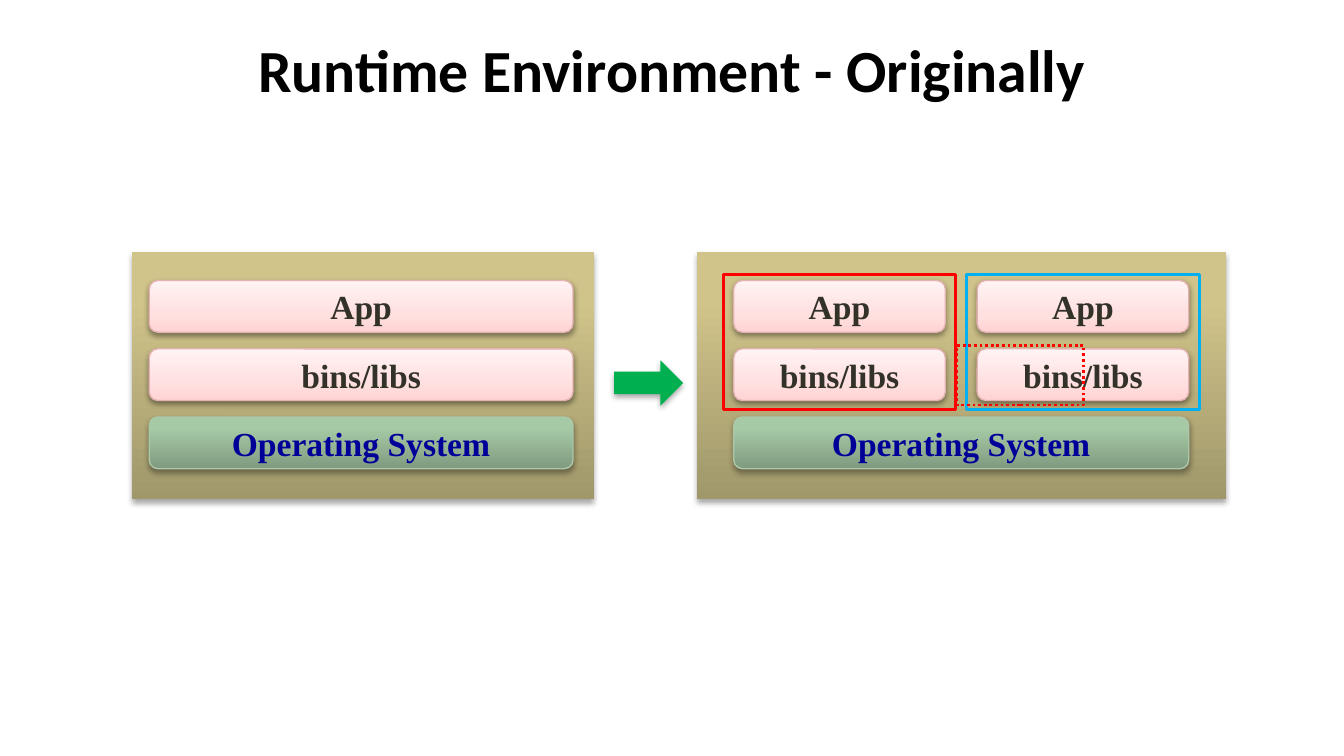
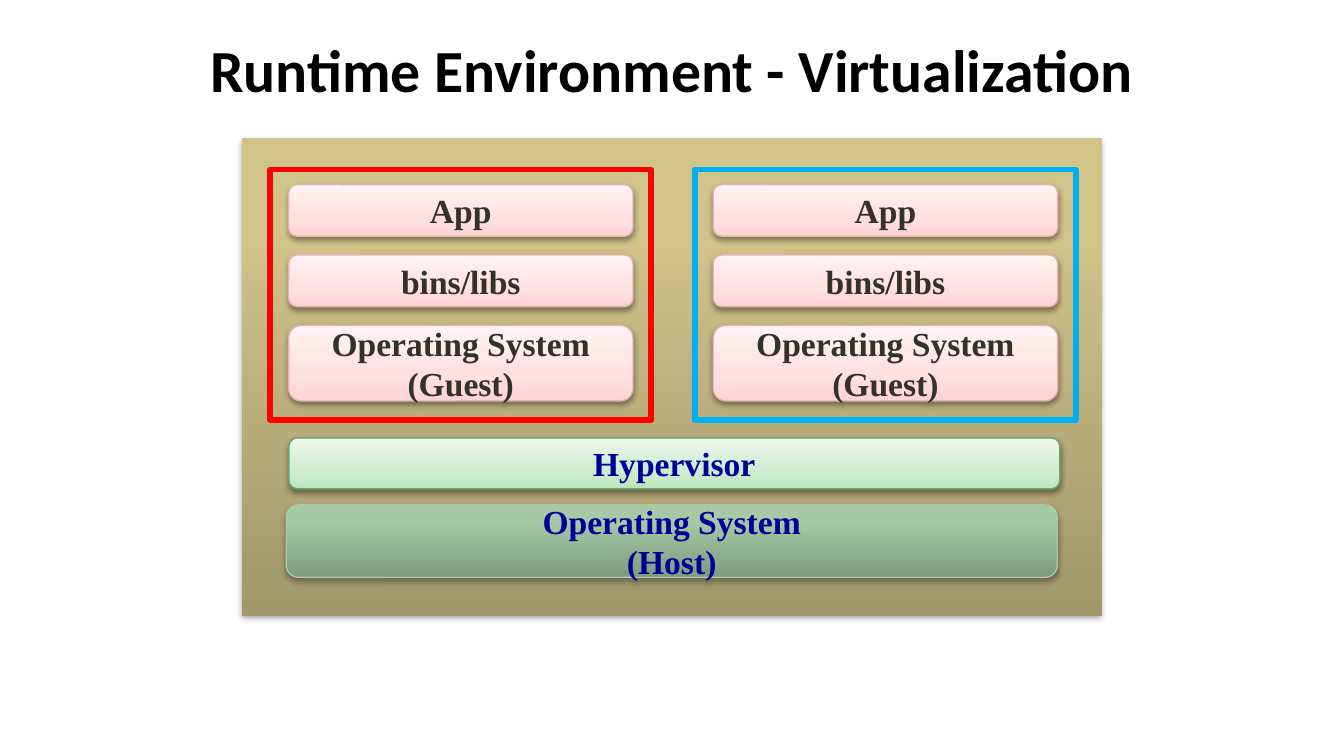
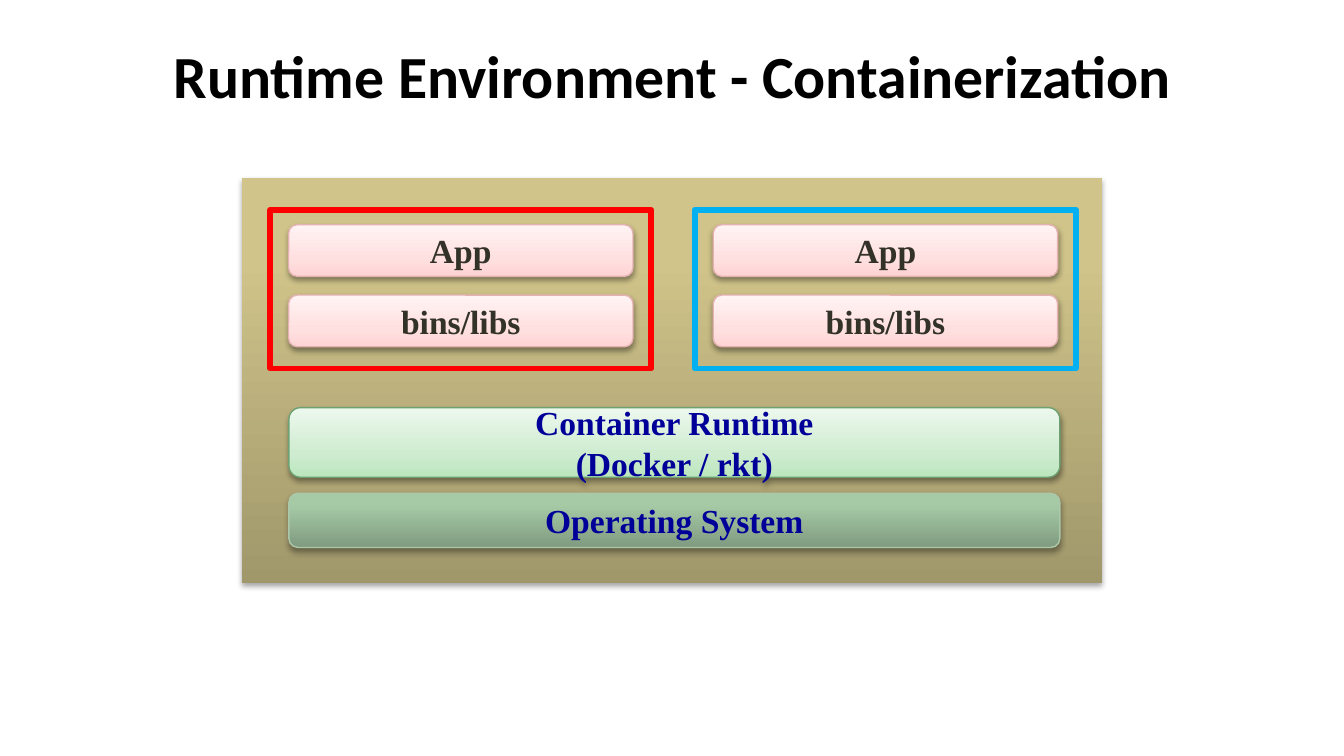
from copy import deepcopy
from typing import NamedTuple, Optional

from lxml import etree
from pptx import Presentation
from pptx import util as u
from pptx.dml.color import RGBColor
from pptx.enum import dml, shapes, text
from pptx.oxml.ns import qn

Pt = u.Pt
KIND = shapes.MSO_SHAPE


class Box(NamedTuple):
    x: float
    y: float
    w: float
    h: float


class Shade(NamedTuple):
    alpha: int
    dist: float


class Look(NamedTuple):
    stops: tuple
    shade: Shade
    line: Optional[str] = None
    ink: str = "000099"


# Shared looks: gradient stops run from bottom to top
SOFT, DEEP = Shade(38, 1.6), Shade(35, 1.8)
PANEL = Look(((0, "A0976B"), (0.8, "D0C48A"), (1, "D2C68A")), DEEP)
HOST = Look(((0, "809B80"), (0.8, "A6CAA6"), (1, "A7CBA7")), DEEP, "ABC8AB")
LAYER = Look(((0, "BBE6BD"), (0.35, "CFECD1"), (1, "ECF8ED")), SOFT, "6EA172")
GUEST = Look(((0, "FFD4D4"), (0.35, "FFE0E0"), (1, "FFF3F3")), SOFT,
             "E4B2B2", "333228")
RED, BLUE, GREEN, BLACK = "FF0000", "00B0F0", "00B050", "000000"

TITLE = {"name": "Calibri", "size": Pt(32), "bold": True}
LABEL = {"name": "Times New Roman", "size": Pt(18), "bold": True}
FRAME = {"word_wrap": True, "vertical_anchor": text.MSO_ANCHOR.MIDDLE,
         "auto_size": text.MSO_AUTO_SIZE.NONE, "margin_left": 0,
         "margin_right": 0, "margin_top": 0, "margin_bottom": 0}


def color(code: str) -> RGBColor:
    return RGBColor.from_string(code)


def apply(part, style: dict) -> None:
    for key, value in style.items():
        setattr(part, key, value)


def write(shape, words: str, style: dict, ink: str) -> None:
    frame = shape.text_frame
    frame.text = words
    apply(frame, FRAME)
    for para in frame.paragraphs:
        para.alignment = text.PP_ALIGN.CENTER
        apply(para.font, style)
        para.font.color.rgb = color(ink)


def place(slide, kind, box: Box):
    shape = slide.shapes.add_shape(kind, *map(Pt, box))
    shape.shadow.inherit = False
    return shape


def cast(shape, shade: Shade) -> None:
    """Add a soft shadow that falls straight down."""
    effect = shape.element.spPr.find(qn("a:effectLst"))
    outer = etree.SubElement(effect, qn("a:outerShdw"), {
        "blurRad": str(Pt(3.1)), "dist": str(Pt(shade.dist)),
        "dir": "5400000", "rotWithShape": "0"})
    tint = etree.SubElement(outer, qn("a:srgbClr"), val=BLACK)
    etree.SubElement(tint, qn("a:alpha"), val=str(shade.alpha * 1000))


def block(slide, box: Box, look: Look, words: str = "") -> None:
    """Draw a shaded panel, or a labelled bar if there are words."""
    kind = KIND.ROUNDED_RECTANGLE if words else KIND.RECTANGLE
    shape = place(slide, kind, box)
    fill = shape.fill
    fill.gradient()
    fill.gradient_angle = 90
    first = shape.element.spPr.find(".//" + qn("a:gs"))
    first.addnext(deepcopy(first))
    for stop, (pos, code) in zip(fill.gradient_stops, look.stops):
        stop.position = pos
        stop.color.rgb = color(code)
    if look.line:
        shape.line.color.rgb = color(look.line)
        shape.line.width = Pt(0.75)
    else:
        shape.line.fill.background()
    cast(shape, look.shade)
    if words:
        write(shape, words, LABEL, look.ink)


def border(slide, box: Box, code: str, width: float, dash=None) -> None:
    shape = place(slide, KIND.RECTANGLE, box)
    shape.fill.background()
    shape.line.color.rgb = color(code)
    apply(shape.line, {"width": Pt(width), "dash_style": dash})


def stack(slide, top: Box, step: float, labels: tuple) -> None:
    """Pile guest bars downwards; a two-line label gets a taller bar."""
    for row, words in enumerate(labels):
        high = 40.5 if "\n" in words else top.h
        block(slide, Box(top.x, top.y + row * step, top.w, high), GUEST, words)


def start(deck, words: str, box: Box = Box(36, 3, 648, 67.5)):
    slide = deck.slides.add_slide(deck.slide_layouts[5])
    title = slide.shapes.title
    apply(title, dict(zip(("left", "top", "width", "height"), map(Pt, box))))
    write(title, words, TITLE, BLACK)
    return slide


APP = ("App", "bins/libs")
BAR = 27.7


def pair(slide, panel: Box, labels: tuple, high: float) -> None:
    """Draw a panel with two framed stacks side by side."""
    block(slide, panel, PANEL)
    for x, code in ((154.6, RED), (382.1, BLUE)):
        stack(slide, Box(x, panel.y + 24.9, 184.5, BAR), 37.7, labels)
        border(slide, Box(x - 9.9, panel.y + 16.9, 204.2, high), code, 3)


def origin(deck) -> None:
    slide = start(deck, "Runtime Environment - Originally")
    top, step, base = 150.3, 36.6, 223.4
    # One app on one system
    block(slide, Box(70.6, 134.9, 247.6, 132.4), PANEL)
    block(slide, Box(80, base, 227, BAR), HOST, "Operating System")
    stack(slide, Box(80, top, 227, BAR), step, APP)
    # Two apps sharing a system
    left, wide, gap, pad = 393.1, 113.3, 17.1, 5.7
    block(slide, Box(373.3, 134.9, 283.5, 132.4), PANEL)
    block(slide, Box(left, base, 2 * wide + gap, BAR), HOST,
          "Operating System")
    for col, code in enumerate((RED, BLUE)):
        x = left + col * (wide + gap)
        stack(slide, Box(x, top, wide, BAR), step, APP)
        border(slide, Box(x - pad, 146.9, wide + 2 * pad, 72.3), code, 1.5)
    # Library overlap and the step between panels
    border(slide, Box(512.6, 185, 68, 32), RED, 1.5,
           dml.MSO_LINE.ROUND_DOT)
    arrow = place(slide, KIND.RIGHT_ARROW, Box(329, 193, 37, 24.3))
    arrow.fill.solid()
    arrow.fill.fore_color.rgb = color(GREEN)
    arrow.line.fill.background()
    cast(arrow, DEEP)


def virtual(deck) -> None:
    slide = start(deck, "Runtime Environment - Virtualization")
    pair(slide, Box(129.6, 74, 460.8, 255.8),
         APP + ("Operating System\n(Guest)",), 134)
    block(slide, Box(154.8, 234.6, 413, 27.3), LAYER, "Hypervisor")
    block(slide, Box(153.4, 270.5, 413, 38.8), HOST,
          "Operating System\n(Host)")


def contain(deck) -> None:
    slide = start(deck, "Runtime Environment - Containerization",
                  Box(31.5, 19.6, 658, 41))
    pair(slide, Box(129.6, 95.5, 460.8, 217), APP, 85)
    block(slide, Box(154.8, 218.4, 413, 37.3), LAYER,
          "Container Runtime\n(Docker / rkt)")
    block(slide, Box(154.8, 264.3, 413, 29), HOST, "Operating System")


def main() -> None:
    deck = Presentation()
    apply(deck, {"slide_width": Pt(720), "slide_height": Pt(405)})
    for draw in (origin, virtual, contain):
        draw(deck)
    deck.save("out.pptx")


if __name__ == "__main__":
    main()
